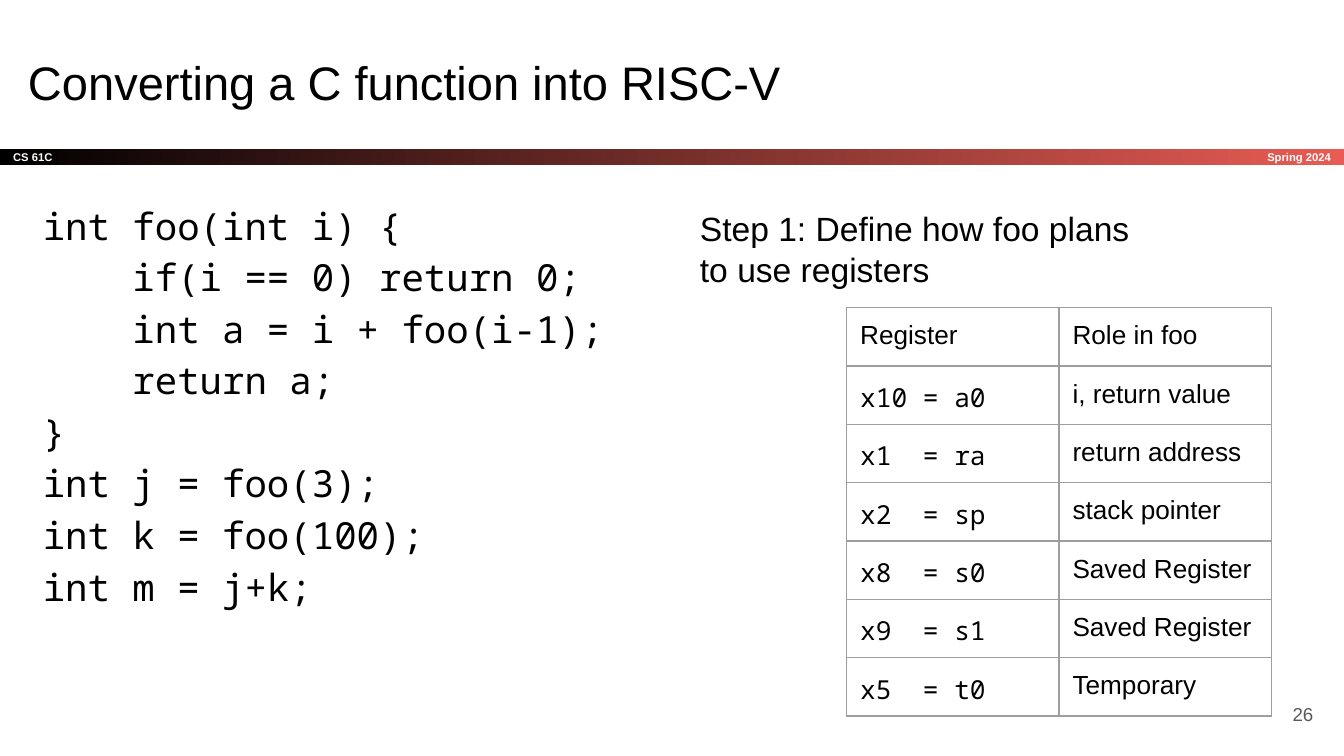
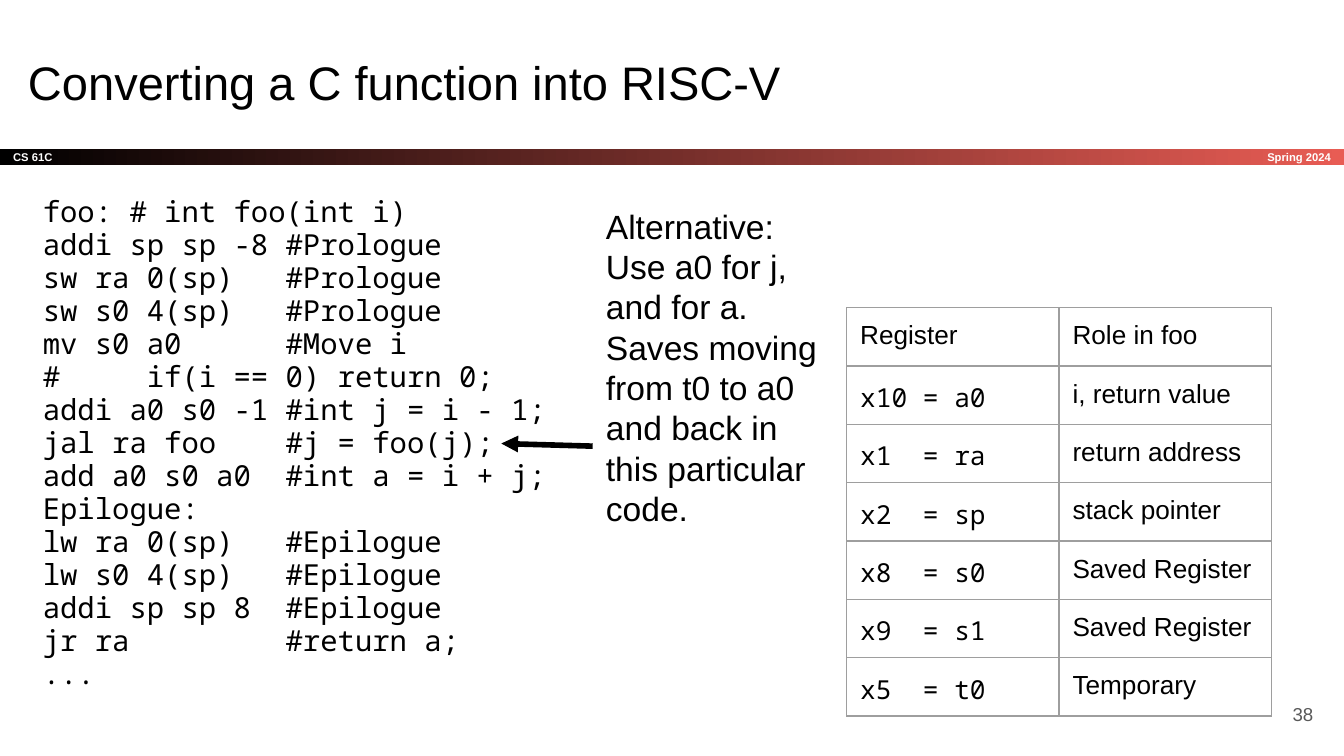
from dataclasses import dataclass

from lxml.etree import SubElement
from pptx import Presentation
from pptx.dml.color import RGBColor
from pptx.enum.shapes import MSO_CONNECTOR, MSO_SHAPE
from pptx.enum.text import MSO_ANCHOR, PP_ALIGN
from pptx.oxml.ns import qn
from pptx.util import Inches, Pt


@dataclass(frozen=True)
class Theme:
    ink: str = "000000"
    accent: str = "E85C54"
    paper: str = "FFFFFF"
    page_number: str = "595959"
    grid: str = "9E9E9E"
    sans: str = "Arial"
    mono: str = "Noto Sans Mono"
    title_size: float = 25.2
    note_size: float = 18
    table_size: float = 14
    number_size: float = 10
    band_size: float = 6
    grid_width: float = 0.75
    arrow_width: float = 3
    inset: float = 0.1


THEME = Theme()
BAND_TOP, BAND_HEIGHT = 1.11, 0.12

C_CODE = """\
int foo(int i) {
    if(i == 0) return 0;
    int a = i + foo(i-1);
    return a;
}
int j = foo(3);
int k = foo(100);
int m = j+k;"""

RISCV_CODE = """\
foo: # int foo(int i)
addi sp sp -8 #Prologue
sw ra 0(sp)   #Prologue
sw s0 4(sp)   #Prologue
mv s0 a0      #Move i
#     if(i == 0) return 0;
addi a0 s0 -1 #int j = i - 1;
jal ra foo    #j = foo(j);
add a0 s0 a0  #int a = i + j;
Epilogue:
lw ra 0(sp)   #Epilogue
lw s0 4(sp)   #Epilogue
addi sp sp 8  #Epilogue
jr ra         #return a;
..."""

REGISTER_ROLES = [
    ("Register", "Role in foo"),
    ("x10 = a0", "i, return value"),
    ("x1  = ra", "return address"),
    ("x2  = sp", "stack pointer"),
    ("x8  = s0", "Saved Register"),
    ("x9  = s1", "Saved Register"),
    ("x5  = t0", "Temporary"),
]


def write(frame, text, *, size, font=THEME.sans, color=THEME.ink, bold=False,
          align=PP_ALIGN.LEFT, anchor=MSO_ANCHOR.TOP, spacing=None):
    """Fill a text frame, one paragraph for each line of text."""
    frame.word_wrap = True
    frame.vertical_anchor = anchor
    frame.margin_left = frame.margin_right = Inches(THEME.inset)
    frame.margin_top = frame.margin_bottom = Inches(THEME.inset)
    for index, line in enumerate(text.split("\n")):
        paragraph = frame.add_paragraph() if index else frame.paragraphs[0]
        paragraph.alignment = align
        if spacing:
            paragraph.line_spacing = spacing
        run = paragraph.add_run()
        run.text = line
        run.font.name = font
        run.font.size = Pt(size)
        run.font.bold = bold
        run.font.color.rgb = RGBColor.from_string(color)


def add_text(slide, text, left, top, width, height, **style):
    box = slide.shapes.add_textbox(
        Inches(left), Inches(top), Inches(width), Inches(height))
    write(box.text_frame, text, **style)


def add_band(slide):
    band = slide.shapes.add_shape(
        MSO_SHAPE.RECTANGLE, 0, Inches(BAND_TOP), Inches(10), Inches(BAND_HEIGHT))
    band.shadow.inherit = False
    band.line.fill.background()
    band.fill.gradient()
    band.fill.gradient_angle = 0
    for stop, position, color in zip(
            band.fill.gradient_stops, (0, 1), (THEME.ink, THEME.accent)):
        stop.position = position
        stop.color.rgb = RGBColor.from_string(color)
    label = dict(size=THEME.band_size, color=THEME.paper, bold=True,
                 anchor=MSO_ANCHOR.MIDDLE)
    write(band.text_frame, "CS 61C", **label)
    add_text(slide, "Spring 2024", 8.34, BAND_TOP, 1.66, BAND_HEIGHT,
             align=PP_ALIGN.RIGHT, **label)


def add_code(slide, code, size, spacing):
    add_text(slide, code, 0.22, 1.36, 9.32, 4.12,
             size=size, font=THEME.mono, spacing=spacing)


def add_note(slide, text, left, top, width, height):
    add_text(slide, text, left, top, width, height, size=THEME.note_size)


def add_cell_borders(cell):
    properties = cell._tc.get_or_add_tcPr()
    for side in ("a:lnL", "a:lnR", "a:lnT", "a:lnB"):
        edge = SubElement(properties, qn(side), w=str(Pt(THEME.grid_width)))
        fill = SubElement(edge, qn("a:solidFill"))
        SubElement(fill, qn("a:srgbClr"), val=THEME.grid)


def add_register_table(slide):
    frame_size = Inches(3.28)
    holder = slide.shapes.add_table(
        len(REGISTER_ROLES), 2, Inches(6.3), Inches(2.29), frame_size, frame_size)
    table = holder.table
    table.first_row = table.horz_banding = False
    for column in table.columns:
        column.width = Inches(1.58)
    for row, entries in zip(table.rows, REGISTER_ROLES):
        row.height = Inches(0.42)
        is_header = entries == REGISTER_ROLES[0]
        fonts = (THEME.sans if is_header else THEME.mono, THEME.sans)
        for cell, entry, font in zip(row.cells, entries, fonts):
            cell.margin_left = cell.margin_right = Inches(THEME.inset)
            cell.margin_top = cell.margin_bottom = Inches(THEME.inset)
            add_cell_borders(cell)
            cell.fill.background()
            write(cell.text_frame, entry, size=THEME.table_size, font=font)
    # Row and column sizes reset the frame, which leaves room for taller rows
    holder.width = holder.height = frame_size


def add_arrow(slide, start, end):
    arrow = slide.shapes.add_connector(
        MSO_CONNECTOR.STRAIGHT, *(Inches(value) for value in start + end))
    arrow.line.color.rgb = RGBColor.from_string(THEME.ink)
    arrow.line.width = Pt(THEME.arrow_width)
    SubElement(arrow.line._get_or_add_ln(), qn("a:tailEnd"), type="triangle")
    SubElement(arrow._element.spPr, qn("a:effectLst"))


def add_lecture_slide(deck, number):
    """Start a slide with the shared title, band and page number."""
    slide = deck.slides.add_slide(deck.slide_layouts[6])
    slide.background.fill.solid()
    slide.background.fill.fore_color.rgb = RGBColor.from_string(THEME.paper)
    add_band(slide)
    add_text(slide, "Converting a C function into RISC-V",
             0.11, 0.3, 9.32, 0.63, size=THEME.title_size)
    add_text(slide, str(number), 9.27, 5.1, 0.6, 0.43, size=THEME.number_size,
             color=THEME.page_number, align=PP_ALIGN.RIGHT,
             anchor=MSO_ANCHOR.MIDDLE)
    return slide


def main():
    deck = Presentation()
    # Widescreen, 16:9
    deck.slide_width = Inches(10)
    deck.slide_height = Inches(10 * 9 / 16)

    # Register plan for the C function
    plan = add_lecture_slide(deck, 26)
    add_code(plan, C_CODE, size=20, spacing=1.15)
    add_note(plan, "Step 1: Define how foo plans to use registers",
             5.11, 1.45, 3.53, 3.94)
    add_register_table(plan)

    # Finished assembly with the alternative use of a0
    assembly = add_lecture_slide(deck, 38)
    add_code(assembly, RISCV_CODE, size=15.5, spacing=0.95)
    add_register_table(assembly)
    add_note(assembly,
             "Alternative: Use a0 for j, and for a.\n"
             "Saves moving from t0 to a0 and back in this particular code.",
             4.41, 1.43, 1.79, 3.78)
    add_arrow(assembly, (4.41, 3.32), (3.73, 3.3))

    deck.save("out.pptx")


if __name__ == "__main__":
    main()
